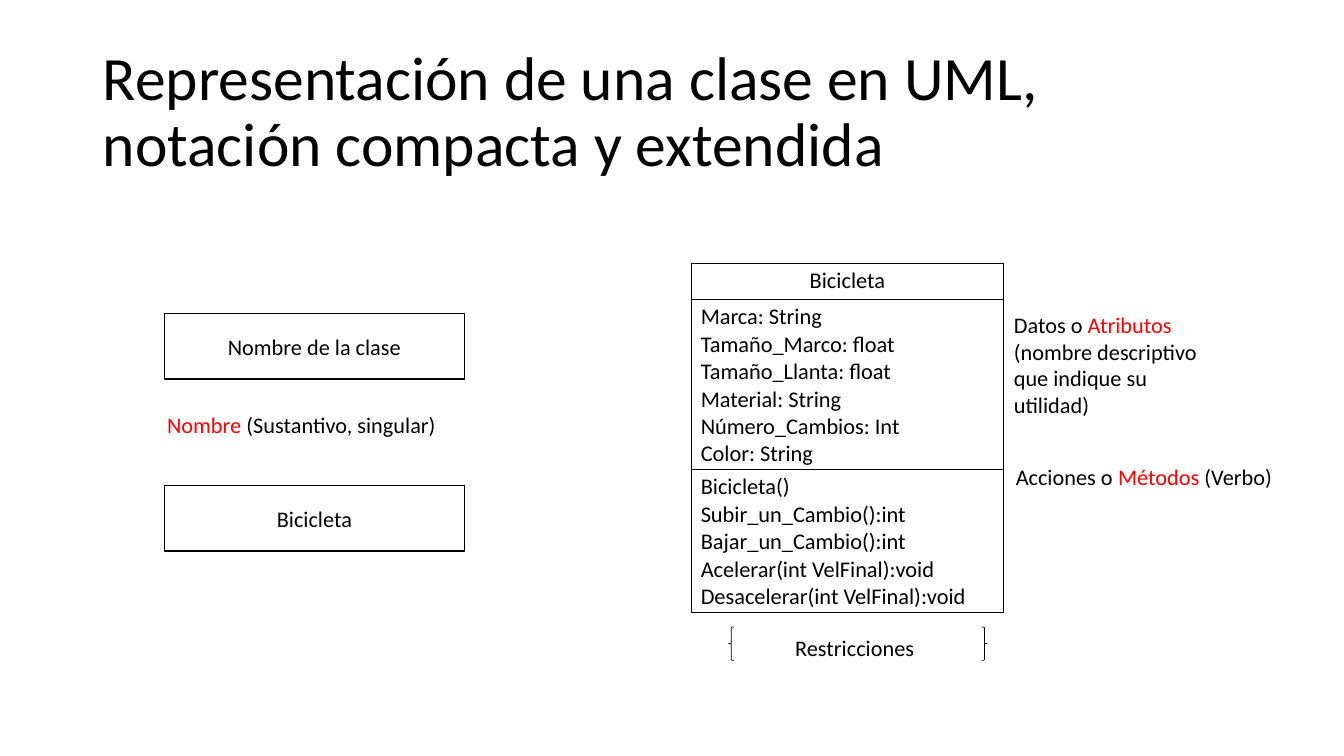
from dataclasses import dataclass
from lxml.etree import SubElement as Sub
from pptx import Presentation
from pptx.dml.color import RGBColor as RGB
from pptx.enum.shapes import MSO_SHAPE as Shape
from pptx.enum.text import MSO_ANCHOR as Anchor, PP_ALIGN as Align
from pptx.oxml.ns import qn
from pptx.util import Cm, Pt


@dataclass
class Theme:
    font: str = "Calibri"
    ink: RGB = RGB(0, 0, 0)
    red: RGB = RGB(255, 0, 0)
    paper: RGB = RGB(255, 255, 255)
    title: float = 44
    cell: float = 16
    note: float = 15.9


theme = Theme()


def write(para, runs, size, align=Align.LEFT):
    """Add (text, colour) runs to a paragraph."""
    para.alignment = align
    for text, color in runs:
        run = para.add_run()
        run.text = text
        run.font.name = theme.font
        run.font.size = Pt(size)
        run.font.color.rgb = color


def outline(shape, width):
    shape.shadow.inherit = False
    shape.line.color.rgb = theme.ink
    shape.line.width = Pt(width)


deck = Presentation()
deck.slide_width, deck.slide_height = Cm(33.87), Cm(19.05)
slide = deck.slides.add_slide(deck.slide_layouts[6])
shapes = slide.shapes

# Title
box = shapes.add_textbox(Cm(2.34), Cm(1.02), Cm(26.34), Cm(3.68))
frame = box.text_frame
frame.word_wrap = True
frame.vertical_anchor = Anchor.MIDDLE
para = frame.paragraphs[0]
para.line_spacing = 0.9
write(para, [("Representación de una clase en UML, notación compacta y extendida",
              theme.ink)], theme.title)

# Extended notation: name, attributes, methods
rows = [
    (0.91, Align.CENTER, ["Bicicleta"]),
    (4.27, Align.LEFT, ["Marca: String", "Tamaño_Marco: float",
                        "Tamaño_Llanta: float", "Material: String",
                        "Número_Cambios: Int", "Color: String"]),
    (3.58, Align.LEFT, ["Bicicleta()", "Subir_un_Cambio():int",
                        "Bajar_un_Cambio():int",
                        "Acelerar(int VelFinal):void",
                        "Desacelerar(int VelFinal):void"]),
]
table = shapes.add_table(3, 1, Cm(17.42), Cm(6.63), Cm(7.87), Cm(8.76)).table
table.first_row = table.horz_banding = False
for i, (height, align, lines) in enumerate(rows):
    table.rows[i].height = Cm(height)
    cell = table.cell(i, 0)
    cell.margin_left = cell.margin_right = Cm(0.24)
    cell.margin_top = cell.margin_bottom = Cm(0.11)
    props = cell._tc.get_or_add_tcPr()
    for side in ("lnL", "lnR", "lnT", "lnB"):
        edge = Sub(props, qn("a:" + side), w=str(Pt(1)))
        fill = Sub(edge, qn("a:solidFill"))
        Sub(fill, qn("a:srgbClr"), val=str(theme.ink))
    cell.fill.background()
    frame = cell.text_frame
    for j, line in enumerate(lines):
        para = frame.add_paragraph() if j else frame.paragraphs[0]
        write(para, [(line, theme.ink)], theme.cell, align)

# Notes beside the classes
notes = [
    (3.96, 10.24, 7.34, 0.94, False,
     [("Nombre ", theme.red), ("(Sustantivo, singular)", theme.ink)]),
    (25.3, 7.72, 5.16, 2.97, True,
     [("Datos o ", theme.ink), ("Atributos ", theme.red),
      ("(nombre descriptivo que indique su utilidad)", theme.ink)]),
    (25.35, 11.56, 8.13, 0.94, True,
     [("Acciones o ", theme.ink), ("Métodos ", theme.red),
      ("(Verbo)", theme.ink)]),
    (19.79, 15.85, 3.53, 0.94, False, [("Restricciones", theme.ink)]),
]
for left, top, width, height, wrap, runs in notes:
    box = shapes.add_textbox(Cm(left), Cm(top), Cm(width), Cm(height))
    box.text_frame.word_wrap = wrap
    write(box.text_frame.paragraphs[0], runs, theme.note)

# Compact notation
for top, name in [(7.9, "Nombre de la clase"), (12.24, "Bicicleta")]:
    box = shapes.add_shape(Shape.RECTANGLE, Cm(4.14), Cm(top), Cm(7.57), Cm(1.65))
    outline(box, 1)
    box.fill.solid()
    box.fill.fore_color.rgb = theme.paper
    box.text_frame.vertical_anchor = Anchor.MIDDLE
    write(box.text_frame.paragraphs[0], [(name, theme.ink)], theme.note, Align.CENTER)

# Braces around the constraints
for kind, left in [(Shape.LEFT_BRACE, 18.36), (Shape.RIGHT_BRACE, 24.74)]:
    brace = shapes.add_shape(kind, Cm(left), Cm(15.8), Cm(0.14), Cm(0.84))
    outline(brace, 0.5)
    brace.fill.background()

deck.save("out.pptx")
